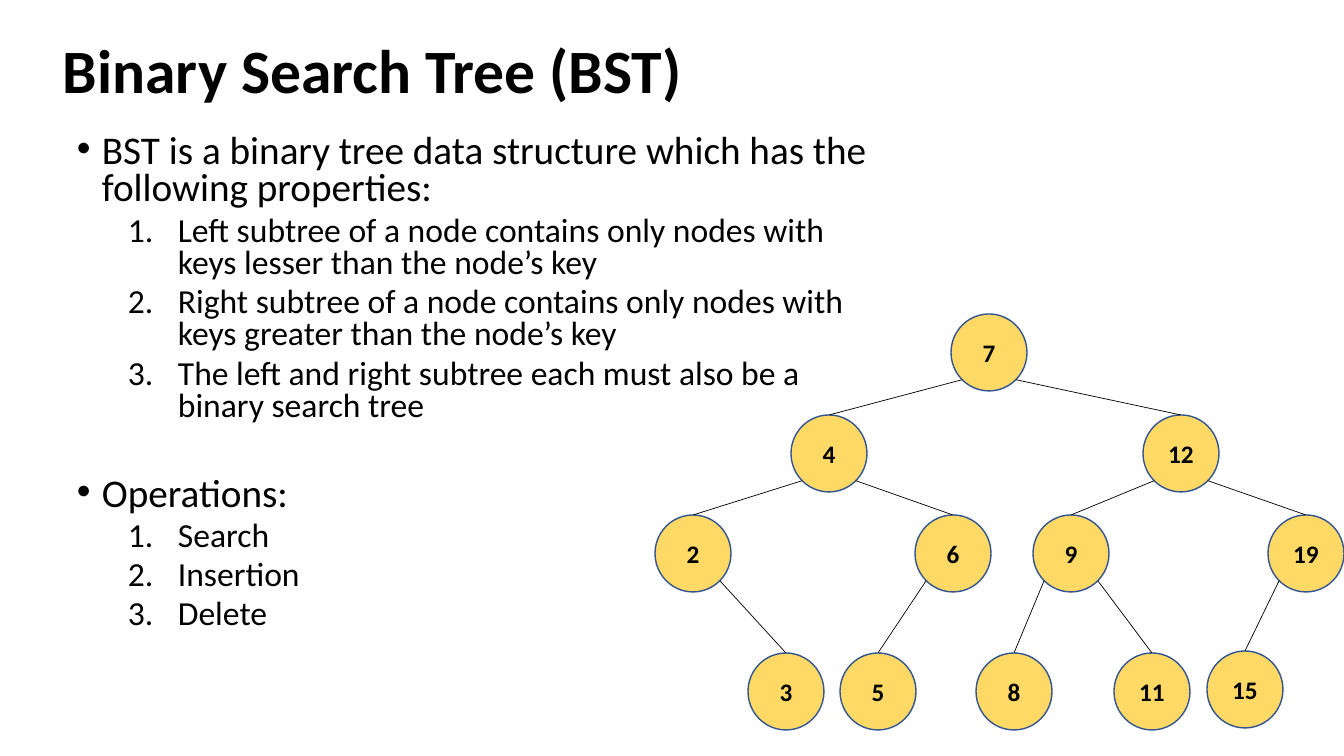
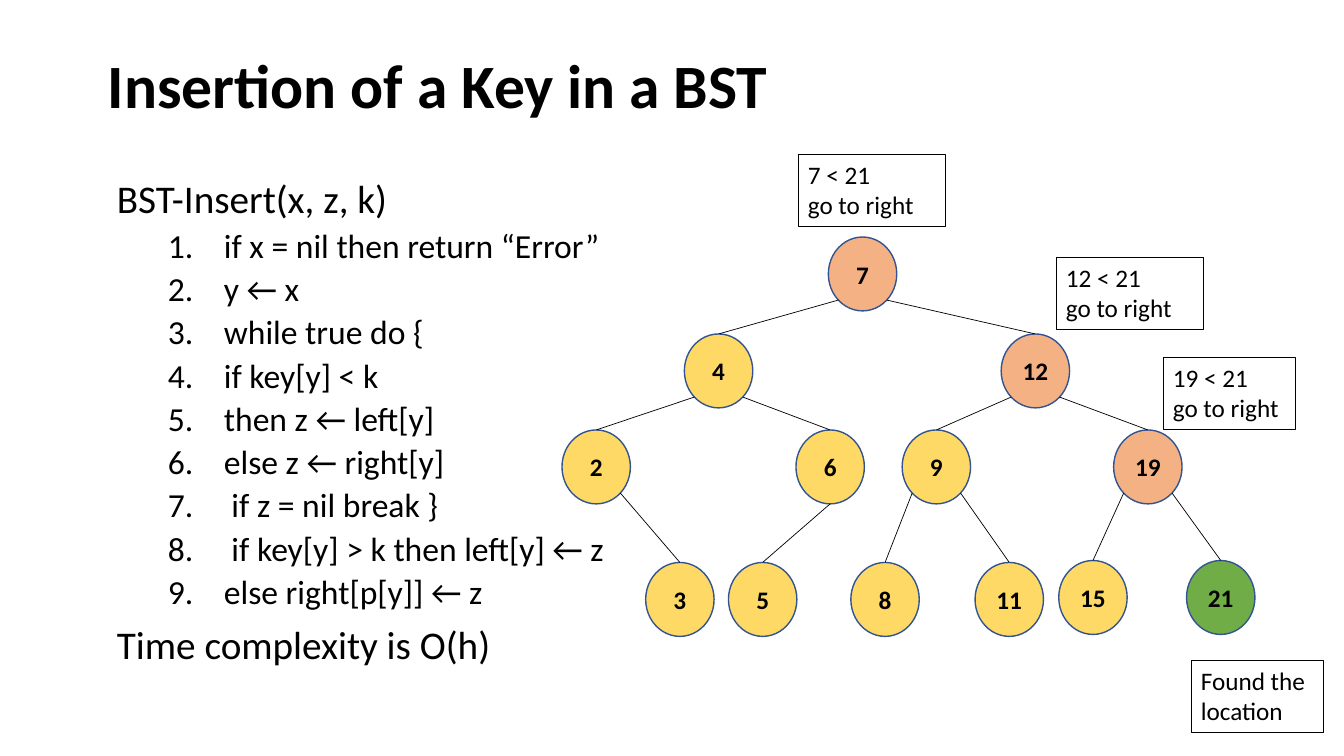
from math import sqrt

from lxml import etree
from pptx import Presentation
from pptx.dml.color import RGBColor
from pptx.enum.shapes import MSO_CONNECTOR, MSO_SHAPE
from pptx.enum.text import MSO_ANCHOR, PP_ALIGN
from pptx.oxml.ns import qn
from pptx.util import Pt

ELLIPSE, RECT = MSO_SHAPE.OVAL, MSO_SHAPE.RECTANGLE
STRAIGHT = MSO_CONNECTOR.STRAIGHT
TOP, MIDDLE = MSO_ANCHOR.TOP, MSO_ANCHOR.MIDDLE
LEFT, CENTER = PP_ALIGN.LEFT, PP_ALIGN.CENTER

FONT = "Calibri"
BLACK, OUTLINE = "000000", "325491"
YELLOW, ORANGE, GREEN = "FFD966", "F4B183", "70AD47"
NODE_W, NODE_H = 76, 77

# key: (left, top, parent), relative to the tree's corner
TREE = {
    7: (296, 0, None),
    4: (136, 101, 7), 12: (488, 101, 7),
    2: (0, 201, 4), 6: (260, 201, 4), 9: (378, 201, 12), 19: (613, 201, 12),
    3: (93, 339, 2), 5: (185, 339, 6), 8: (321, 339, 9), 11: (459, 339, 9),
    15: (552, 337, 19),
}


def px(n):
    return round(n * 914400 / 100.8)


def color(value):
    return RGBColor.from_string(value)


class Deck:
    def __init__(self):
        self.prs = Presentation()
        self.prs.slide_width, self.prs.slide_height = px(1344), px(756)
        self.s = None

    def slide(self):
        self.s = self.prs.slides.add_slide(self.prs.slide_layouts[6])

    def style(self, p, size, bold=False, align=LEFT):
        p.alignment = align
        for r in p.runs:
            r.font.name, r.font.size, r.font.bold = FONT, Pt(size), bold
            r.font.color.rgb = color(BLACK)

    def frame(self, x, y, w, h, anchor):
        tf = self.s.shapes.add_textbox(px(x), px(y), px(w), px(h)).text_frame
        tf.word_wrap, tf.vertical_anchor = True, anchor
        return tf

    def title(self, text, x, y):
        tf = self.frame(x, y, 1159, 146, MIDDLE)
        p = tf.paragraphs[0]
        p.text, p.line_spacing = text, 0.9
        self.style(p, 44, bold=True)

    def bullet(self, p, margin, hang, tag, **attrs):
        pPr = p._p.get_or_add_pPr()
        pPr.set("marL", str(px(margin)))
        pPr.set("indent", str(-px(hang)))
        etree.SubElement(pPr, qn("a:buFont"), typeface="Arial" if tag == "a:buChar" else FONT)
        etree.SubElement(pPr, qn(tag), **attrs)

    def body(self, x, y, w, h, sections, spacing, margin, hang, bulleted=False, gap=10):
        """Each section is a heading with its numbered steps; gap precedes later headings."""
        tf = self.frame(x, y, w, h, TOP)
        for i, (heading, steps) in enumerate(sections):
            p = tf.add_paragraph() if i else tf.paragraphs[0]
            p.text, p.line_spacing = heading, spacing
            p.space_before = Pt(gap if i else 10)
            self.style(p, 28)
            if bulleted:
                self.bullet(p, 25, 25, "a:buChar", char="•")
            for step in steps:
                p = tf.add_paragraph()
                p.text, p.level, p.line_spacing = step, 1, spacing
                p.space_before = Pt(5)
                self.style(p, 24)
                self.bullet(p, margin, hang, "a:buAutoNum", type="arabicPeriod")

    def shape(self, kind, x, y, w, h, text, fill=None, line=BLACK, width=0.25):
        sp = self.s.shapes.add_shape(kind, px(x), px(y), px(w), px(h))
        sp.shadow.inherit = False
        if fill:
            sp.fill.solid()
            sp.fill.fore_color.rgb = color(fill)
        else:
            sp.fill.background()
        sp.line.color.rgb, sp.line.width = color(line), Pt(width)
        sp.text_frame.text = text
        return sp.text_frame

    def note(self, x, y, w, text):
        tf = self.shape(RECT, x, y, w, 72, text)
        tf.word_wrap, tf.vertical_anchor = True, TOP
        for p in tf.paragraphs:
            self.style(p, 18)

    def node(self, x, y, w, h, key, fill):
        tf = self.shape(ELLIPSE, x, y, w, h, str(key), fill, OUTLINE, 1)
        tf.margin_left = tf.margin_right = 0
        tf.vertical_anchor = MIDDLE
        self.style(tf.paragraphs[0], 18, bold=True, align=CENTER)

    def edge(self, x1, y1, x2, y2):
        c = self.s.shapes.add_connector(STRAIGHT, px(x1), px(y1), px(x2), px(y2))
        c.line.color.rgb, c.line.width = color(BLACK), Pt(0.5)
        etree.SubElement(c._element.spPr, qn("a:effectLst"))

    def tree(self, nodes, x, y, sx=1, sy=1, fills=None, from_bottom=()):
        """Draw the nodes, then an edge from each parent's lower side to its child's top."""
        w, h = NODE_W * sx, NODE_H * sy
        spots = {key: (x + nx * sx, y + ny * sy) for key, (nx, ny, _) in nodes.items()}
        for key, (nx, ny) in spots.items():
            self.node(nx, ny, w, h, key, (fills or {}).get(key, YELLOW))
        for key, (_, _, parent) in nodes.items():
            if parent is None:
                continue
            cx, cy = spots[parent][0] + w / 2, spots[parent][1] + h / 2
            if key in from_bottom:
                start = cx, cy + h / 2
            else:
                side = -1 if key < parent else 1
                start = cx + side * w / sqrt(8), cy + h / sqrt(8)
            self.edge(*start, spots[key][0] + w / 2, spots[key][1])


deck = Deck()

# Slide 1: definition and operations
deck.slide()
deck.title("Binary Search Tree (BST)", 53, 1)
deck.body(67, 129, 829, 545, [
    ("BST is a binary tree data structure which has the following properties:", [
        "Left subtree of a node contains only nodes with keys lesser than the node’s key",
        "Right subtree of a node contains only nodes with keys greater than the node’s key",
        "The left and right subtree each must also be a binary search tree",
    ]),
    ("Operations:", ["Search", "Insertion", "Delete"]),
], spacing=0.8, margin=101, hang=50, bulleted=True, gap=38)
deck.tree(TREE, 655, 314)

# Slide 2: inserting key 21
deck.slide()
deck.title("Insertion of a Key in a BST", 98, 16)
deck.body(107, 175, 565, 506, [
    ("BST-Insert(x, z, k)", [
        "if x = nil then return “Error”",
        "y ← x",
        "while true do {",
        "if key[y] < k",
        "then z ← left[y]",
        "else z ← right[y]",
        " if z = nil break }",
        " if key[y] > k then left[y] ← z",
        "else right[p[y]] ← z",
    ]),
    ("Time complexity is O(h)", []),
], spacing=0.9, margin=107, hang=56)
deck.tree({**TREE, 21: (694, 337, 19)}, 562, 237, 0.9, 0.96,
          fills={7: ORANGE, 12: ORANGE, 19: ORANGE, 21: GREEN}, from_bottom=(5,))
for x, y, w, text in [
    (798, 154, 147, "7 < 21\ngo to right"),
    (1056, 257, 147, "12 < 21\ngo to right"),
    (1163, 357, 132, "19 < 21\ngo to right"),
    (1191, 660, 132, "Found the location"),
]:
    deck.note(x, y, w, text)

deck.prs.save("out.pptx")
